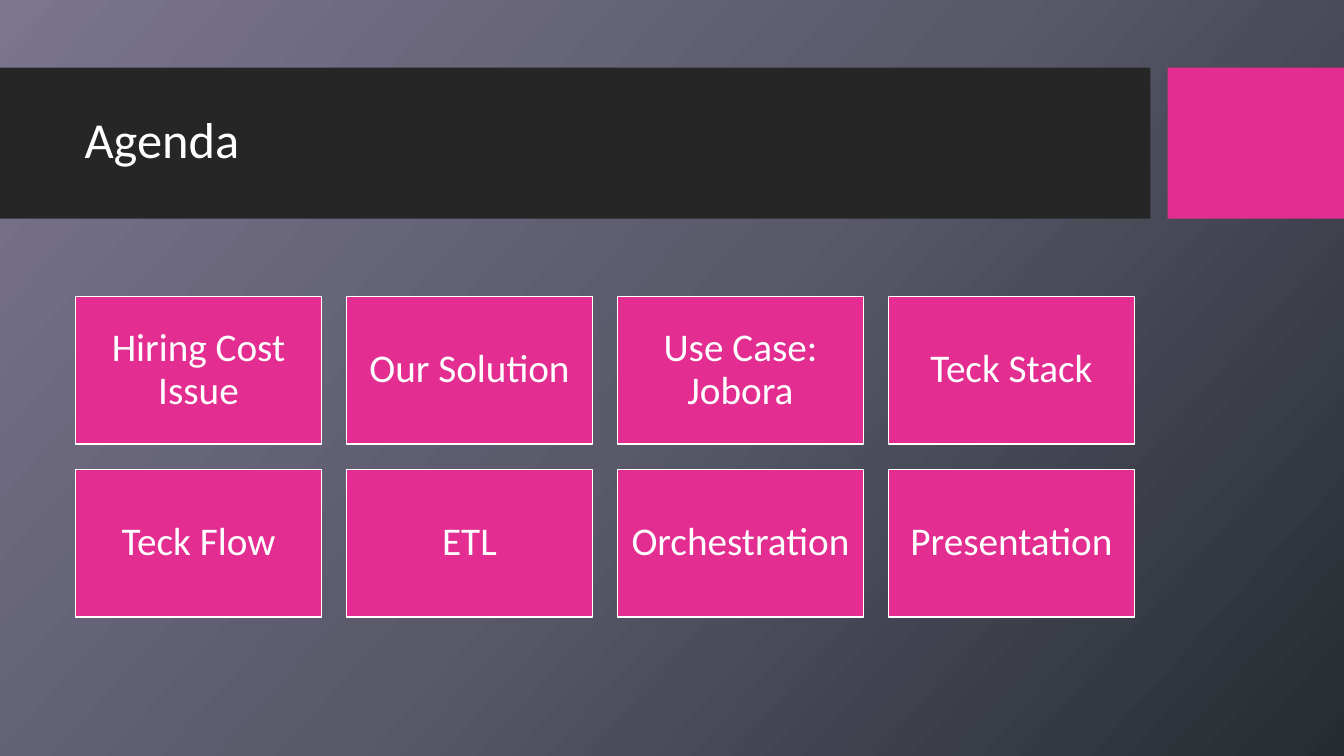
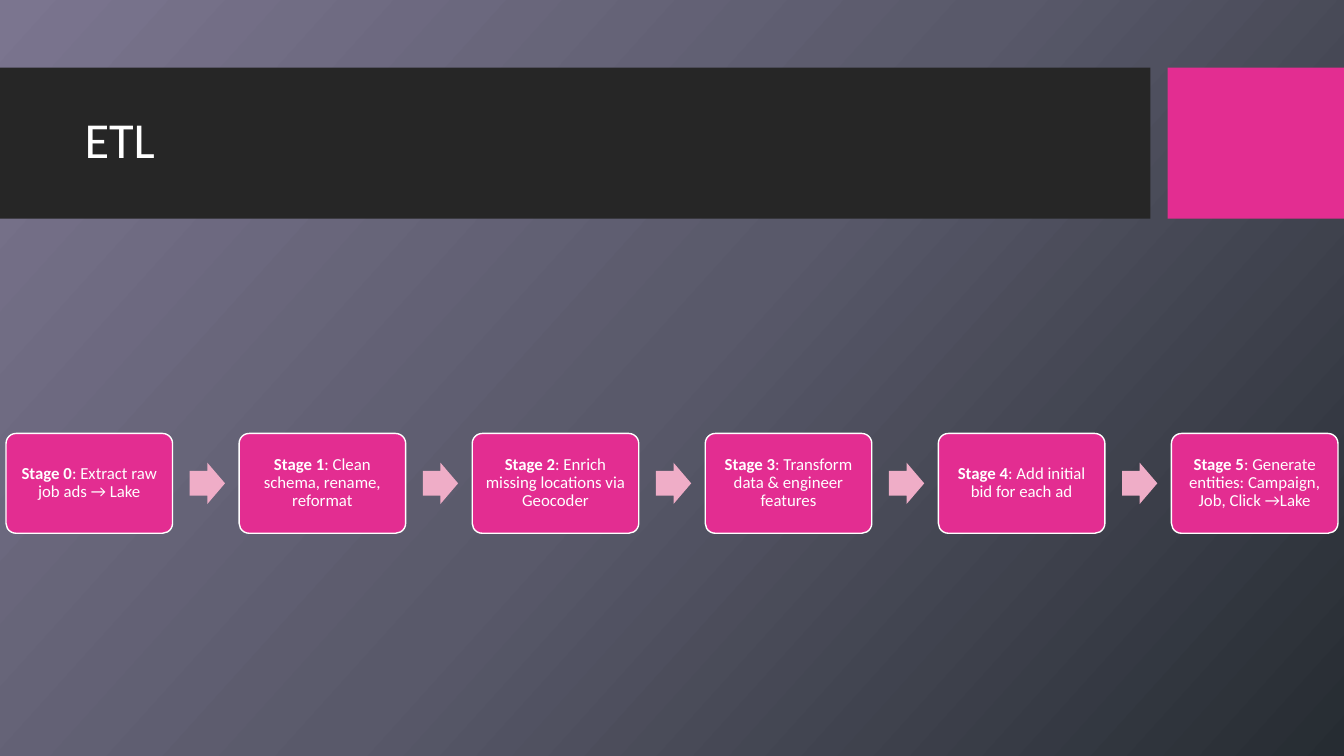
"""Build an agenda slide and an ETL stage slide in one shared style."""
import copy
from dataclasses import dataclass

import pptx
import pptx.dml.color
import pptx.enum.shapes
import pptx.enum.text
import pptx.oxml.ns
import pptx.shapes.autoshape
import pptx.slide
import pptx.text.text
import pptx.util

SHAPE = pptx.enum.shapes.MSO_SHAPE
ALIGN = pptx.enum.text.PP_ALIGN
FONT = "Calibri"
COLORS = {
    "band": "262626",
    "accent": "E32D91",
    "arrow": "EFADC7",
    "text": "FFFFFF",
}
GRADIENT = ((0, "7B758F"), (0.5, "59596A"), (1, "262C32"))
GRADIENT_ANGLE = 42
SLIDE_WIDTH, SLIDE_HEIGHT = 13.33, 7.5


@dataclass(frozen=True)
class Area:
    left: float
    top: float
    width: float
    height: float

    def emu(self) -> list[int]:
        return [pptx.util.Inches(v) for v in (self.left, self.top, self.width, self.height)]


@dataclass(frozen=True)
class Grid:
    area: Area
    columns: int
    rows: int
    gap: float

    def cell(self, index: int) -> Area:
        row, column = divmod(index, self.columns)
        width = (self.area.width - self.gap * (self.columns - 1)) / self.columns
        height = (self.area.height - self.gap * (self.rows - 1)) / self.rows
        return Area(
            self.area.left + column * (width + self.gap),
            self.area.top + row * (height + self.gap),
            width,
            height,
        )


@dataclass(frozen=True)
class Span:
    text: str
    bold: bool = False


@dataclass(frozen=True)
class Stage:
    name: str
    task: str


TITLE_BAND = Area(0, 0.67, 11.41, 1.5)
ACCENT_BAND = Area(11.58, 0.67, 1.75, 1.5)
TITLE_AREA = Area(0.74, 0.82, 10.51, 1.18)
AGENDA_GRID = Grid(Area(0.75, 2.94, 10.5, 3.18), columns=4, rows=2, gap=0.25)
STAGE_GRID = Grid(Area(0.06, 4.3, SLIDE_WIDTH - 0.12, 0.99), columns=6, rows=1, gap=0.66)
ARROW_OFFSET, ARROW_WIDTH, ARROW_HEIGHT = 0.17, 0.35, 0.41

AGENDA = (
    "Hiring Cost Issue", "Our Solution", "Use Case: Jobora", "Teck Stack",
    "Teck Flow", "ETL", "Orchestration", "Presentation",
)
STAGES = (
    Stage("Stage 0", ": Extract raw job ads → Lake"),
    Stage("Stage 1", ": Clean schema, rename, reformat"),
    Stage("Stage 2", ": Enrich missing locations via Geocoder"),
    Stage("Stage 3", ": Transform data & engineer features"),
    Stage("Stage 4", ": Add initial bid for each ad"),
    Stage("Stage 5", ": Generate entities: Campaign, Job, Click →Lake"),
)


def rgb(value: str) -> pptx.dml.color.RGBColor:
    return pptx.dml.color.RGBColor.from_string(value)


def paint_background(page: pptx.slide.Slide) -> None:
    fill = page.background.fill
    fill.gradient()
    fill.gradient_angle = 360 - GRADIENT_ANGLE
    stop_list = page.element.find(".//" + pptx.oxml.ns.qn("a:gsLst"))
    stop_list.append(copy.deepcopy(stop_list[-1]))
    for stop, (position, color) in zip(fill.gradient_stops, GRADIENT):
        stop.position = position
        stop.color.rgb = rgb(color)


def write_text(frame: pptx.text.text.TextFrame, spans: list[Span], size: float,
               align: ALIGN = ALIGN.LEFT, inset: float | None = None) -> None:
    frame.word_wrap = True
    frame.vertical_anchor = pptx.enum.text.MSO_ANCHOR.MIDDLE
    if inset is not None:
        frame.margin_left = frame.margin_right = pptx.util.Inches(inset)
        frame.margin_top = frame.margin_bottom = pptx.util.Inches(inset)
    para = frame.paragraphs[0]
    para.alignment = align
    para.line_spacing = 0.9
    for span in spans:
        run = para.add_run()
        run.text = span.text
        run.font.name = FONT
        run.font.size = pptx.util.Pt(size)
        run.font.bold = span.bold
        run.font.color.rgb = rgb(COLORS["text"])


def add_box(page: pptx.slide.Slide, area: Area, color: str, kind: SHAPE = SHAPE.RECTANGLE,
            outlined: bool = False,
            adjustments: tuple[float, ...] = ()) -> pptx.shapes.autoshape.Shape:
    box = page.shapes.add_shape(kind, *area.emu())
    box.shadow.inherit = False
    box.fill.solid()
    box.fill.fore_color.rgb = rgb(COLORS[color])
    if outlined:
        box.line.color.rgb = rgb(COLORS["text"])
        box.line.width = pptx.util.Pt(1)
    else:
        box.line.fill.background()
    for index, value in enumerate(adjustments):
        box.adjustments[index] = value
    return box


def add_page(deck: pptx.presentation.Presentation, title: str) -> pptx.slide.Slide:
    page = deck.slides.add_slide(deck.slide_layouts[6])
    paint_background(page)
    add_box(page, TITLE_BAND, "band")
    add_box(page, ACCENT_BAND, "accent")
    title_box = page.shapes.add_textbox(*TITLE_AREA.emu())
    write_text(title_box.text_frame, [Span(title)], 36)
    return page


def add_agenda(page: pptx.slide.Slide) -> None:
    for index, topic in enumerate(AGENDA):
        tile = add_box(page, AGENDA_GRID.cell(index), "accent", outlined=True)
        write_text(tile.text_frame, [Span(topic)], 28, ALIGN.CENTER, 0.12)


def add_stages(page: pptx.slide.Slide) -> None:
    for index, stage in enumerate(STAGES):
        area = STAGE_GRID.cell(index)
        card = add_box(page, area, "accent", SHAPE.ROUNDED_RECTANGLE, True, (0.1,))
        spans = [Span(stage.name, bold=True), Span(stage.task)]
        write_text(card.text_frame, spans, 12, ALIGN.CENTER, 0.05)
        if index < len(STAGES) - 1:
            arrow_area = Area(
                area.left + area.width + ARROW_OFFSET,
                area.top + (area.height - ARROW_HEIGHT) / 2,
                ARROW_WIDTH,
                ARROW_HEIGHT,
            )
            add_box(page, arrow_area, "arrow", SHAPE.RIGHT_ARROW, adjustments=(0.6, 0.5))


def main() -> None:
    deck = pptx.Presentation()
    deck.slide_width = pptx.util.Inches(SLIDE_WIDTH)
    deck.slide_height = pptx.util.Inches(SLIDE_HEIGHT)
    add_agenda(add_page(deck, "Agenda"))
    add_stages(add_page(deck, "ETL"))
    deck.save("out.pptx")


if __name__ == "__main__":
    main()
